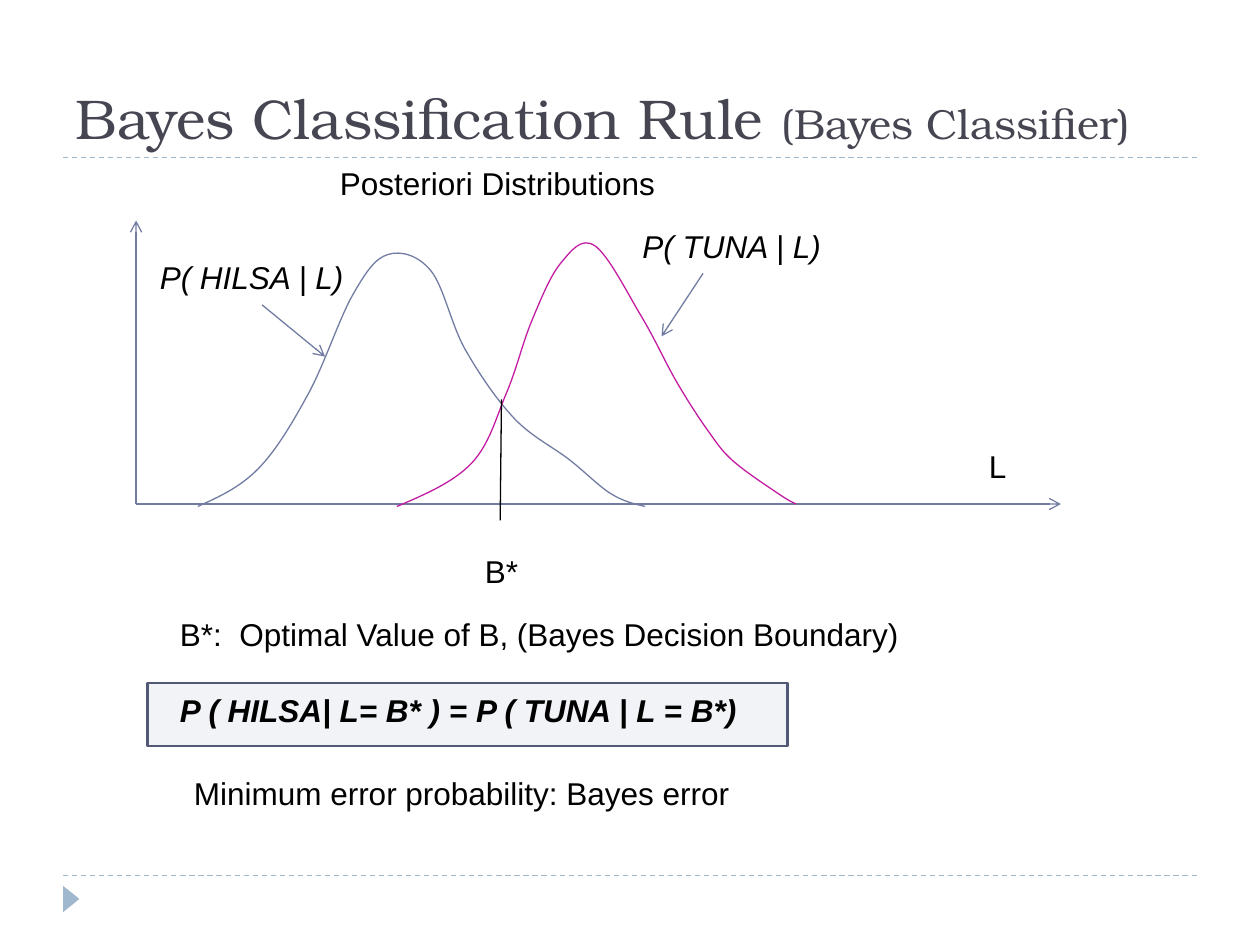
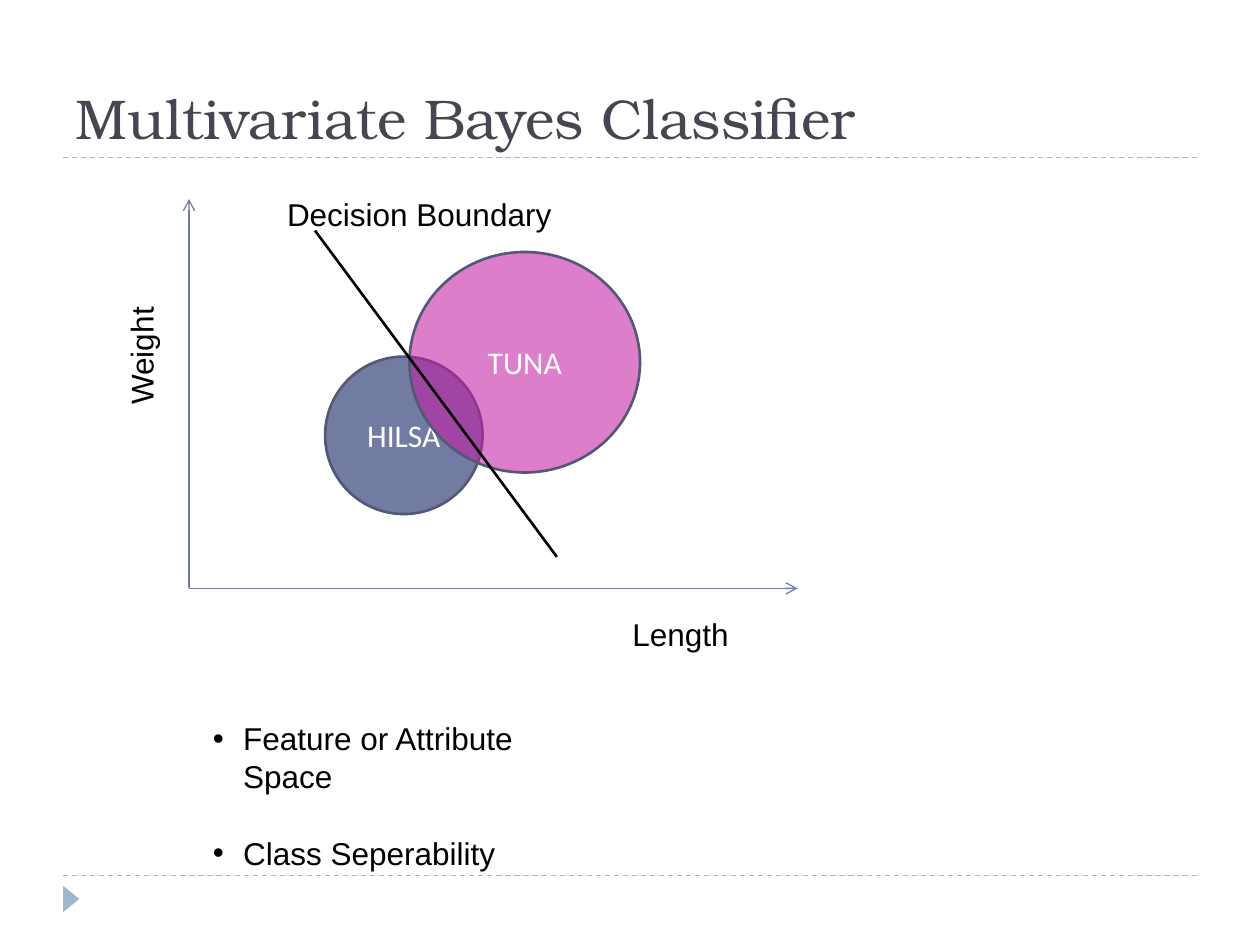
from dataclasses import dataclass
from typing import NamedTuple

from lxml.etree import SubElement
from pptx import Presentation
from pptx.dml.color import RGBColor
from pptx.enum.dml import MSO_LINE_DASH_STYLE as Dash
from pptx.enum.shapes import MSO_CONNECTOR_TYPE as Connector, MSO_SHAPE as Preset
from pptx.enum.text import MSO_ANCHOR as Anchor, MSO_AUTO_SIZE as AutoSize, PP_ALIGN as Align
from pptx.oxml.ns import qn
from pptx.util import Inches, Pt

COLORS = {
    "band": "9FB8CD",
    "title": "464653",
    "hilsa": "727CA3",
    "tuna": "C31DA3",
    "outline": "525977",
    "equation": "E3E5ED",
    "ink": "000000",
    "white": "FFFFFF",
}
TITLE_FONT, TEXT_FONT, CLASS_FONT = "TeX Gyre Bonum", "Arial", "Calibri"
TEXT_SIZE = 18
LINE_GAP = Pt(22)


class Point(NamedTuple):
    x: float
    y: float


class Box(NamedTuple):
    left: float
    top: float
    width: float
    height: float

    def inches(self) -> list:
        return [Inches(length) for length in self]


@dataclass
class Stroke:
    start: Point
    end: Point
    color: str = "hilsa"
    width: float = 0.75
    arrow: bool = False
    dashed: bool = False


@dataclass
class Label:
    text: str
    box: Box
    italic: bool = False
    rotation: int = 0


@dataclass
class Filled:
    preset: Preset
    box: Box
    fill: str
    opacity: int = 100
    outline: str = "outline"
    rotation: int = 0
    text: str = ""


@dataclass
class Density:
    color: str
    knots: list


def rgb(name: str) -> RGBColor:
    return RGBColor.from_string(COLORS[name])


def add_run(paragraph, text: str, size: float = TEXT_SIZE, font: str = TEXT_FONT,
            color: str = "ink", bold: bool = False, italic: bool = False) -> None:
    run = paragraph.add_run()
    run.text = text
    run.font.size = Pt(size)
    run.font.name = font
    run.font.color.rgb = rgb(color)
    run.font.bold = bold
    run.font.italic = italic


def draw_stroke(slide, stroke: Stroke) -> None:
    ends = [Inches(length) for length in (*stroke.start, *stroke.end)]
    connector = slide.shapes.add_connector(Connector.STRAIGHT, *ends)
    connector.line.color.rgb = rgb(stroke.color)
    connector.line.width = Pt(stroke.width)
    if stroke.dashed:
        connector.line.dash_style = Dash.DASH
    properties = connector.element.spPr
    if stroke.arrow:
        SubElement(properties.find(qn("a:ln")), qn("a:tailEnd"), type="arrow")
    SubElement(properties, qn("a:effectLst"))


def draw_filled(slide, figure: Filled) -> None:
    shape = slide.shapes.add_shape(figure.preset, *figure.box.inches())
    shape.shadow.inherit = False
    shape.rotation = figure.rotation
    shape.fill.solid()
    shape.fill.fore_color.rgb = rgb(figure.fill)
    if figure.opacity < 100:
        color = shape.element.spPr.find(qn("a:solidFill"))[0]
        SubElement(color, qn("a:alpha"), val=str(figure.opacity * 1000))
    if figure.outline:
        shape.line.color.rgb = rgb(figure.outline)
        shape.line.width = Pt(1.5)
    else:
        shape.line.fill.background()
    if figure.text:
        shape.text_frame.vertical_anchor = Anchor.MIDDLE
        paragraph = shape.text_frame.paragraphs[0]
        paragraph.alignment = Align.CENTER
        add_run(paragraph, figure.text, font=CLASS_FONT, color="white")


def draw_label(slide, label: Label) -> None:
    text_box = slide.shapes.add_textbox(*label.box.inches())
    text_box.rotation = label.rotation
    frame = text_box.text_frame
    frame.word_wrap = False
    frame.auto_size = AutoSize.SHAPE_TO_FIT_TEXT
    add_run(frame.paragraphs[0], label.text, italic=label.italic)


def middle(a: Point, b: Point) -> Point:
    return Point((a.x + b.x) / 2, (a.y + b.y) / 2)


def smooth_handles(knots: list) -> list:
    def handle(i: int, side: int) -> Point:
        before, knot, after = knots[i - 1:i + 2]
        return Point(knot.x + side * (after.x - before.x) / 6,
                     knot.y + side * (after.y - before.y) / 6)

    handles = []
    last = len(knots) - 2
    for i in range(last + 1):
        start, end = knots[i], knots[i + 1]
        leaving = handle(i, 1) if i > 0 else middle(start, handle(1, -1))
        arriving = handle(i + 1, -1) if i < last else middle(leaving, end)
        handles += [leaving, arriving, end]
    return handles


def bend_segments(curve) -> None:
    segments = list(curve.element.spPr.iter(qn("a:lnTo")))
    outline = segments[0].getparent()
    for i in range(0, len(segments), 3):
        bend = SubElement(outline, qn("a:cubicBezTo"))
        for segment in segments[i:i + 3]:
            bend.append(segment[0])
            outline.remove(segment)


def draw_density(slide, density: Density) -> None:
    start = density.knots[0]
    builder = slide.shapes.build_freeform(Inches(start.x), Inches(start.y))
    handles = [(Inches(p.x), Inches(p.y)) for p in smooth_handles(density.knots)]
    builder.add_line_segments(handles, close=False)
    curve = builder.convert_to_shape()
    bend_segments(curve)
    curve.shadow.inherit = False
    curve.fill.background()
    curve.line.color.rgb = rgb(density.color)
    curve.line.width = Pt(0.75)


def place(placeholder, box: Box) -> None:
    placeholder.left, placeholder.top, placeholder.width, placeholder.height = box.inches()
    placeholder.text_frame.auto_size = AutoSize.NONE


def start_slide(deck, layout_index: int, title: str, subtitle: str = ""):
    slide = deck.slides.add_slide(deck.slide_layouts[layout_index])
    heading = slide.shapes.title
    place(heading, Box(0.5, 0.17, 9, 1.08))
    heading.text_frame.vertical_anchor = Anchor.BOTTOM
    paragraph = heading.text_frame.paragraphs[0]
    paragraph.alignment = Align.LEFT
    add_run(paragraph, title, 32, TITLE_FONT, "title")
    if subtitle:
        add_run(paragraph, subtitle, 24, TITLE_FONT, "title")
    for y in (6.95, 1.25):
        draw_stroke(slide, Stroke(Point(0.5, y), Point(9.5, y), "band", dashed=True))
    draw_filled(slide, Filled(Preset.ISOSCELES_TRIANGLE, Box(0.46, 7.07, 0.21, 0.13),
                              "band", outline="", rotation=90))
    return slide


def draw_axes(slide, origin: Point, right: float, top: float) -> None:
    for end in (Point(right, origin.y), Point(origin.x, top)):
        draw_stroke(slide, Stroke(origin, end, arrow=True))


def build_posteriors(deck) -> None:
    slide = start_slide(deck, 5, "Bayes Classification Rule ", "(Bayes Classifier)")
    draw_filled(slide, Filled(Preset.RECTANGLE, Box(1.17, 5.42, 5.08, 0.5), "equation", 44))
    draw_axes(slide, Point(1.08, 4), 8.42, 1.75)
    densities = (
        Density("hilsa", [
            Point(1.57, 4.02), Point(2.05, 3.72), Point(2.45, 3.12), Point(2.8, 2.34),
            Point(3.08, 2.02), Point(3.42, 2.15), Point(3.69, 2.77), Point(4.08, 3.32),
            Point(4.52, 3.65), Point(4.85, 3.92), Point(5.12, 4.02)]),
        Density("tuna", [
            Point(3.15, 4.02), Point(3.74, 3.68), Point(4.02, 3.12), Point(4.22, 2.55),
            Point(4.45, 2.09), Point(4.72, 1.95), Point(5.09, 2.51), Point(5.37, 3.03),
            Point(5.62, 3.42), Point(5.82, 3.66), Point(6.18, 3.92), Point(6.32, 4)]),
    )
    for density in densities:
        draw_density(slide, density)
    for stroke in (
        Stroke(Point(2.08, 2.42), Point(2.58, 2.83), arrow=True),
        Stroke(Point(5.58, 2.17), Point(5.25, 2.67), arrow=True),
        Stroke(Point(3.98, 3.17), Point(3.97, 4.13), "ink"),
    ):
        draw_stroke(slide, stroke)
    for label in (
        Label("L", Box(7.75, 3.5, 0.34, 0.4)),
        Label("P( HILSA | L)", Box(1.17, 2, 1.67, 0.4), italic=True),
        Label("P( TUNA | L)", Box(5, 1.75, 1.62, 0.4), italic=True),
        Label("B*", Box(3.75, 4.33, 0.48, 0.4)),
        Label("Posteriori Distributions", Box(2.6, 1.25, 2.7, 0.4)),
        Label("Minimum error probability: Bayes error", Box(1.44, 6.09, 4.45, 0.4)),
    ):
        draw_label(slide, label)

    boundary = slide.shapes.add_textbox(*Box(1.33, 4.83, 6.75, 1).inches()).text_frame
    boundary.word_wrap = True
    add_run(boundary.paragraphs[0], "B*:  Optimal Value of B, (Bayes Decision Boundary)")
    equation = boundary.add_paragraph()
    equation.space_before = LINE_GAP
    add_run(equation, "P ( HILSA| L= B* ) = P ( TUNA | L = B*)", bold=True, italic=True)


def fill_bullets(body, items: tuple) -> None:
    frame = body.text_frame
    frame.word_wrap = True
    for i, item in enumerate(items):
        paragraph = frame.add_paragraph() if i else frame.paragraphs[0]
        paragraph.space_before = LINE_GAP if i else Pt(0)
        properties = paragraph._p.get_or_add_pPr()
        hang = Inches(0.24)
        properties.set("marL", str(hang))
        properties.set("indent", str(-hang))
        bullet_color = SubElement(properties, qn("a:buClr"))
        SubElement(bullet_color, qn("a:srgbClr"), val=COLORS["ink"])
        SubElement(properties, qn("a:buFont"), typeface=TEXT_FONT)
        SubElement(properties, qn("a:buChar"), char="•")
        add_run(paragraph, item)


def build_multivariate(deck) -> None:
    slide = start_slide(deck, 1, "Multivariate Bayes Classifier")
    draw_axes(slide, Point(1.5, 4.67), 6.33, 1.58)
    for fish in (
        Filled(Preset.OVAL, Box(2.58, 2.83, 1.25, 1.25), "hilsa", text="HILSA"),
        Filled(Preset.OVAL, Box(3.25, 2, 1.83, 1.75), "tuna", 57, text="TUNA"),
    ):
        draw_filled(slide, fish)
    draw_stroke(slide, Stroke(Point(2.5, 1.83), Point(4.42, 4.42), "ink", 1.5))
    for label in (
        Label("Length", Box(4.92, 4.83, 0.98, 0.4)),
        Label("Weight", Box(0.63, 2.62, 0.98, 0.4), rotation=270),
        Label("Decision Boundary", Box(2.18, 1.5, 2.3, 0.4)),
    ):
        draw_label(slide, label)
    topics = slide.placeholders[1]
    place(topics, Box(1.59, 5.66, 3.22, 1.3))
    fill_bullets(topics, ("Feature or Attribute Space", "Class Seperability"))


def main() -> None:
    deck = Presentation()
    deck.slide_width, deck.slide_height = Inches(10), Inches(7.5)
    build_posteriors(deck)
    build_multivariate(deck)
    deck.save("out.pptx")


if __name__ == "__main__":
    main()
